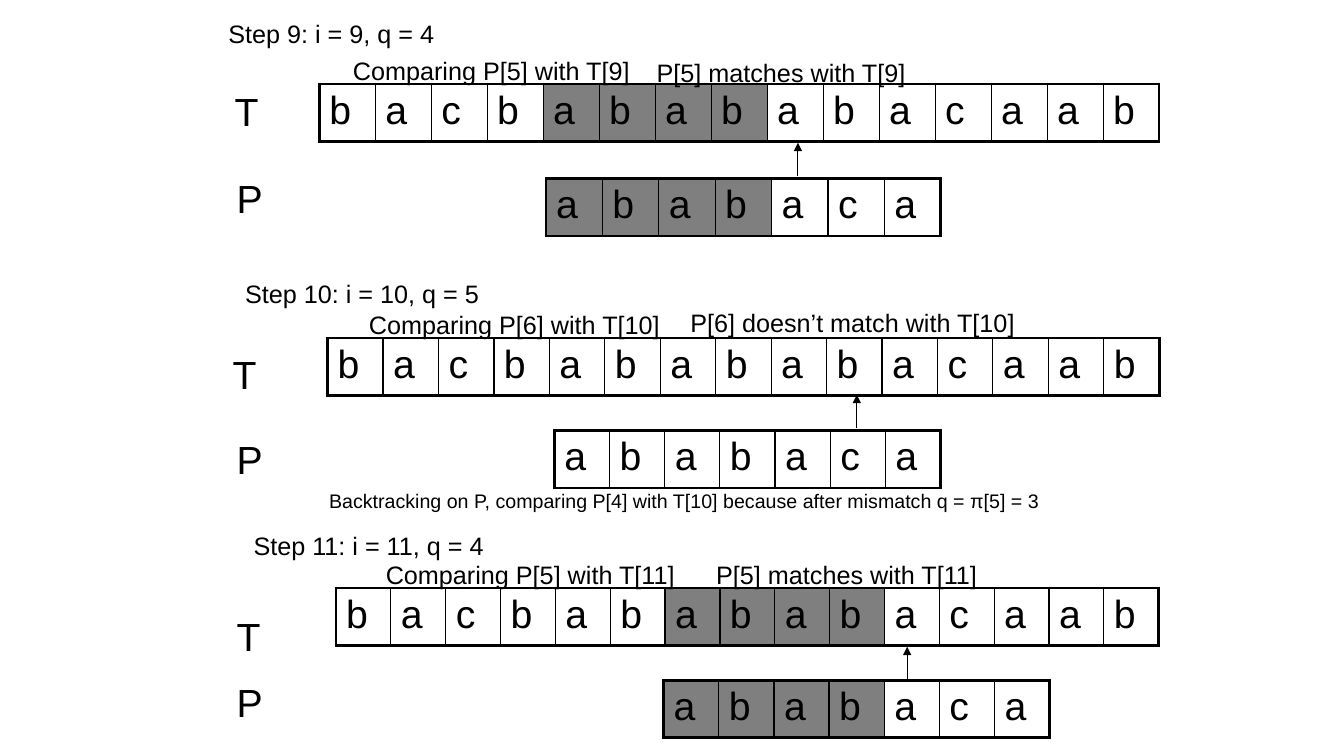
from dataclasses import dataclass

from lxml import etree
from pptx import Presentation
from pptx.dml.color import RGBColor
from pptx.enum.shapes import MSO_CONNECTOR
from pptx.oxml.ns import qn
from pptx.util import Pt

STRAIGHT = MSO_CONNECTOR.STRAIGHT


@dataclass(frozen=True)
class Theme:
    font: str = "Arial"
    ink: str = "000000"
    shade_opacity: int = 50
    caption_size: float = 18
    note_size: float = 14
    letter_size: float = 28
    outer_border: float = 2.25
    inner_border: float = 1
    arrow_width: float = 0.75


THEME = Theme()
TEXT = "bacbabababacaab"
PATTERN = "ababaca"
ROW_HEIGHT = 41
ARROW_LENGTH = 24


@dataclass(frozen=True)
class Caption:
    words: str
    left: float
    top: float
    width: float


@dataclass(frozen=True)
class Strip:
    """A row of letter cells, with `matched` cells shaded from `match_start`."""
    label: Caption
    letters: str
    left: float
    top: float
    right: float
    match_start: int
    matched: int


@dataclass(frozen=True)
class Step:
    heading: Caption
    comparison: Caption
    outcome: Caption
    text: Strip
    pattern: Strip
    arrow_x: float
    arrow_tail: float


STEPS = (
    Step(
        Caption("Step 9: i = 9, q = 4", 156, 12, 180),
        Caption("Comparing P[5] with T[9]", 245, 36, 214),
        Caption("P[5] matches with T[9]", 462, 37.5, 194),
        Strip(Caption("T", 160.5, 59, 32), TEXT, 228, 60, 828, 4, 4),
        Strip(Caption("P", 162, 121, 34), PATTERN, 390, 127.5, 672, 0, 4),
        570, 126,
    ),
    Step(
        Caption("Step 10: i = 10, q = 5", 168, 198, 204),
        Caption("Comparing P[6] with T[10]", 256.5, 217.5, 224),
        Caption("P[6] doesn’t match with T[10]", 486, 216, 248.5),
        Strip(Caption("T", 159, 247, 32), TEXT, 234, 241.5, 828, 0, 0),
        Strip(Caption("P", 162, 307.5, 34), PATTERN, 396, 307.5, 672, 0, 0),
        612, 306,
    ),
    Step(
        Caption("Step 11: i = 11, q = 4", 174, 378, 276),
        Caption("Comparing P[5] with T[11]", 268.5, 396, 222),
        Caption("P[5] matches with T[11]", 504.5, 396, 202),
        Strip(Caption("T", 162, 433.5, 32), TEXT, 240, 420, 828, 6, 4),
        Strip(Caption("P", 162, 481, 34), PATTERN, 474, 486, 750, 0, 4),
        648, 486,
    ),
)
BACKTRACKING = Caption(
    "Backtracking on P, comparing P[4] with T[10] because after mismatch q = π[5] = 3",
    228, 345.5, 612,
)


def write(frame, words: str, *, size: float, line_spacing: float = 1.0) -> None:
    frame.word_wrap = True
    paragraph = frame.paragraphs[0]
    paragraph.line_spacing = line_spacing
    run = paragraph.add_run()
    run.text = words
    run.font.name = THEME.font
    run.font.size = Pt(size)
    run.font.color.rgb = RGBColor.from_string(THEME.ink)


def draw_caption(slide, caption: Caption, *, size: float, height: float = 29,
                 line_spacing: float = 1.0) -> None:
    box = slide.shapes.add_textbox(
        Pt(caption.left), Pt(caption.top), Pt(caption.width), Pt(height))
    write(box.text_frame, caption.words, size=size, line_spacing=line_spacing)


def set_borders(cell, is_first: bool, is_last: bool) -> None:
    """Draw the four cell edges, heavier on the outside of the strip."""
    outside = {"lnL": is_first, "lnR": is_last, "lnT": True, "lnB": True}
    properties = cell._tc.get_or_add_tcPr()
    for position, (edge, is_outer) in enumerate(outside.items()):
        width = THEME.outer_border if is_outer else THEME.inner_border
        line = etree.Element(qn(f"a:{edge}"), w=str(Pt(width)))
        fill = etree.SubElement(line, qn("a:solidFill"))
        etree.SubElement(fill, qn("a:srgbClr"), val=THEME.ink)
        properties.insert(position, line)


def shade(cell) -> None:
    cell.fill.solid()
    cell.fill.fore_color.rgb = RGBColor.from_string(THEME.ink)
    color = cell._tc.tcPr.find(f"{qn('a:solidFill')}/{qn('a:srgbClr')}")
    etree.SubElement(color, qn("a:alpha"), val=str(THEME.shade_opacity * 1000))


def draw_strip(slide, strip: Strip) -> None:
    draw_caption(slide, strip.label, size=THEME.letter_size, height=ROW_HEIGHT)
    count = len(strip.letters)
    width = strip.right - strip.left
    table = slide.shapes.add_table(
        1, count, Pt(strip.left), Pt(strip.top), Pt(width), Pt(ROW_HEIGHT)).table
    table.first_row = False
    table.horz_banding = False
    match = range(strip.match_start, strip.match_start + strip.matched)
    for index, letter in enumerate(strip.letters):
        table.columns[index].width = Pt(width / count)
        cell = table.cell(0, index)
        write(cell.text_frame, letter, size=THEME.letter_size)
        if index in match:
            shade(cell)
        else:
            cell.fill.background()
        set_borders(cell, index == 0, index == count - 1)


def draw_arrow(slide, x: float, tail: float) -> None:
    arrow = slide.shapes.add_connector(
        STRAIGHT, Pt(x), Pt(tail), Pt(x), Pt(tail - ARROW_LENGTH))
    arrow.line.width = Pt(THEME.arrow_width)
    arrow.line.color.rgb = RGBColor.from_string(THEME.ink)
    etree.SubElement(arrow.line._get_or_add_ln(), qn("a:tailEnd"), type="triangle")
    etree.SubElement(arrow._element.spPr, qn("a:effectLst"))


def draw_step(slide, step: Step) -> None:
    draw_caption(slide, step.heading, size=THEME.caption_size, height=18,
                 line_spacing=0.9)
    for caption in (step.comparison, step.outcome):
        draw_caption(slide, caption, size=THEME.caption_size)
    for strip in (step.text, step.pattern):
        draw_strip(slide, strip)
    draw_arrow(slide, step.arrow_x, step.arrow_tail)


def main() -> None:
    presentation = Presentation()
    presentation.slide_width = Pt(960)
    presentation.slide_height = Pt(540)
    slide = presentation.slides.add_slide(presentation.slide_layouts[6])
    for step in STEPS:
        draw_step(slide, step)
    draw_caption(slide, BACKTRACKING, size=THEME.note_size, height=ROW_HEIGHT)
    presentation.save("out.pptx")


if __name__ == "__main__":
    main()
